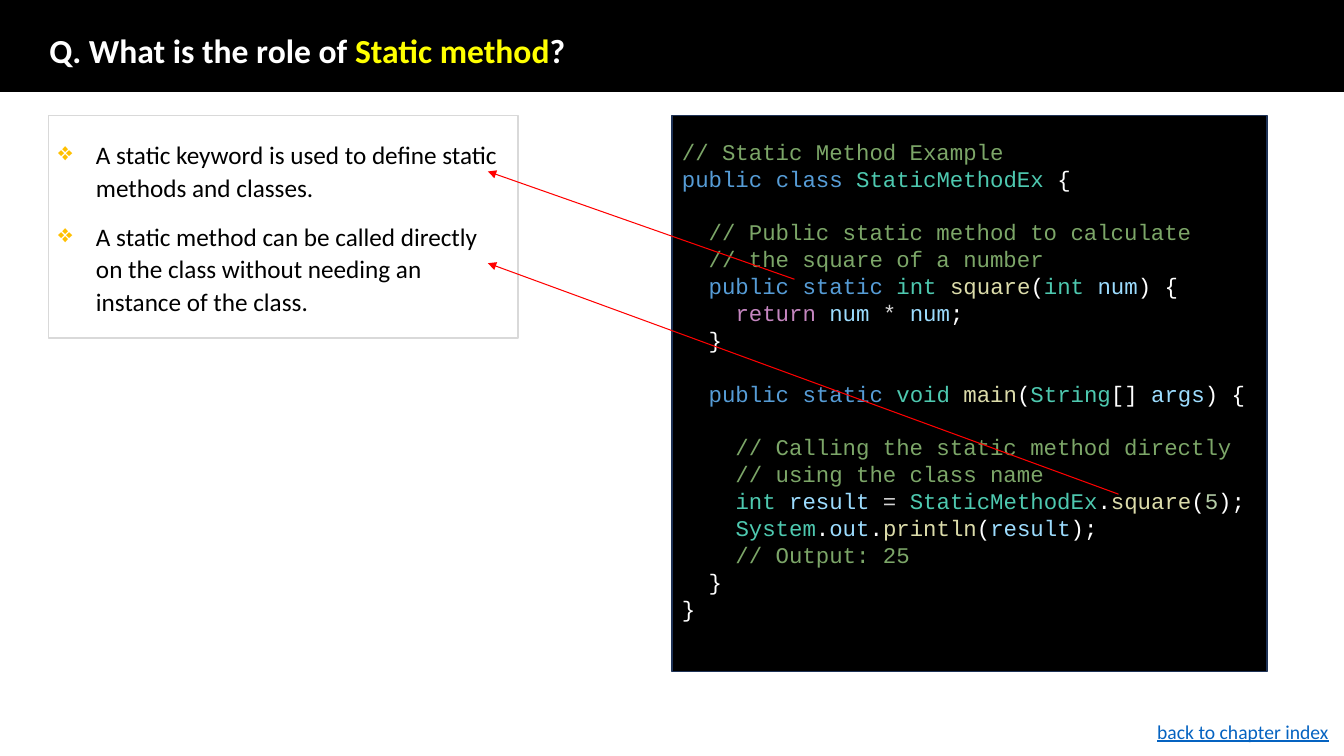
from itertools import groupby

from lxml import etree
from pptx import Presentation
from pptx.dml.color import RGBColor
from pptx.enum import shapes, text
from pptx.oxml.ns import qn
from pptx.util import Pt


def hue(code):
    return RGBColor.from_string(code)


def write(para, words, size=16, color="FFFFFF", face="Calibri", bold=False, under=False):
    run = para.add_run()
    run.text = words
    font = run.font
    font.size, font.name, font.bold, font.underline = Pt(size), face, bold, under
    font.color.rgb = hue(color)


deck = Presentation()
deck.slide_width, deck.slide_height = Pt(960), Pt(540)
slide = deck.slides.add_slide(deck.slide_layouts[5])
tree = slide.shapes

# Header band, code panel and notes panel
panels = []
for x, y, w, h, fill, edge in [
    (0, 0, 960, 65.5, "000000", "000000"),
    (480, 82.5, 425, 397, "000000", "1E3256"),
    (34.5, 82.5, 335.5, 159, "FFFFFF", "D9D9D9"),
]:
    box = tree.add_shape(shapes.MSO_SHAPE.RECTANGLE, Pt(x), Pt(y), Pt(w), Pt(h))
    box.shadow.inherit = False
    box.fill.solid()
    box.fill.fore_color.rgb = hue(fill)
    box.line.color.rgb = hue(edge)
    box.line.width = Pt(1)
    box.text_frame.word_wrap = True
    box.text_frame.vertical_anchor = text.MSO_ANCHOR.MIDDLE
    panels.append(box)
band, code, notes = panels

# Title, in front of the band
title = tree.title
title.left, title.top, title.width, title.height = Pt(28), Pt(25), Pt(842), Pt(25)
band._element.addnext(title._element)
frame = title.text_frame
frame.auto_size = text.MSO_AUTO_SIZE.NONE
frame.vertical_anchor = text.MSO_ANCHOR.MIDDLE
head = frame.paragraphs[0]
head.alignment = text.PP_ALIGN.LEFT
head.line_spacing = 0.9
for words, color in [
    ("Q. What is the role of ", "FFFFFF"),
    ("Static method", "FFFF00"),
    ("?", "FFFFFF"),
]:
    write(head, words, size=24, color=color, bold=True)

# Code, coloured by kind of word
source = """\
// Static Method Example
public class StaticMethodEx {

  // Public static method to calculate
  // the square of a number
  public static int square(int num) {
    return num * num;
  }

  public static void main(String[] args) {

    // Calling the static method directly
    // using the class name
    int result = StaticMethodEx.square(5);
    System.out.println(result);
    // Output: 25
  }
}"""
kinds = {
    "569CD6": ["public", "class", "static"],
    "4EC9B0": ["StaticMethodEx", "int", "void", "String", "System"],
    "DCDCAA": ["square", "main", "println"],
    "9CDCFE": ["num", "args", "result", "out"],
    "C586C0": ["return"],
    "D4D4D4": [" * ", " = "],
    "B5CEA8": ["5"],
}
tints = {word: color for color, group in kinds.items() for word in group}
frame = code.text_frame
frame.margin_bottom = Pt(23)
for i, line in enumerate(source.split("\n")):
    para = frame.add_paragraph() if i else frame.paragraphs[0]
    para.alignment = text.PP_ALIGN.LEFT
    if "//" in line or not line:
        write(para, line, color="7CA668", face="Courier New")
        continue
    for _, chars in groupby(line, key=str.isalnum):
        word = "".join(chars)
        write(para, word, color=tints.get(word, "FFFFFF"), face="Courier New")

# Bulleted notes
frame = notes.text_frame
for i, words in enumerate([
    "A static keyword is used to define static methods and classes.",
    "A static method can be called directly on the class without needing an instance of the class.",
]):
    para = frame.add_paragraph() if i else frame.paragraphs[0]
    props = para._p.get_or_add_pPr()
    props.set("marL", str(Pt(27)))
    props.set("indent", str(Pt(-27)))
    tint = etree.SubElement(props, qn("a:buClr"))
    etree.SubElement(tint, qn("a:srgbClr"), val="FFC000")
    etree.SubElement(props, qn("a:buChar"), char="❖")
    para.alignment = text.PP_ALIGN.LEFT
    para.line_spacing = 1.07
    if i:
        para.space_before = Pt(12)
    write(para, words, size=18, color="000000")

# Arrows from code to notes
for x, y, end in [(567.5, 199.5, 122.5), (799, 353, 188)]:
    arrow = tree.add_connector(
        shapes.MSO_CONNECTOR.STRAIGHT, Pt(x), Pt(y), Pt(348.5), Pt(end))
    arrow.line.color.rgb = hue("FF0000")
    arrow.line.width = Pt(0.75)
    etree.SubElement(arrow.line._get_or_add_ln(), qn("a:tailEnd"), type="triangle")
    etree.SubElement(arrow._element.spPr, qn("a:effectLst"))

# Footer label
foot = tree.add_textbox(Pt(819.5), Pt(510.5), Pt(140.5), Pt(24.5)).text_frame
foot.auto_size = text.MSO_AUTO_SIZE.SHAPE_TO_FIT_TEXT
foot.word_wrap = False
write(foot.paragraphs[0], "back to chapter index", size=14, color="0563C1", under=True)

deck.save("out.pptx")
